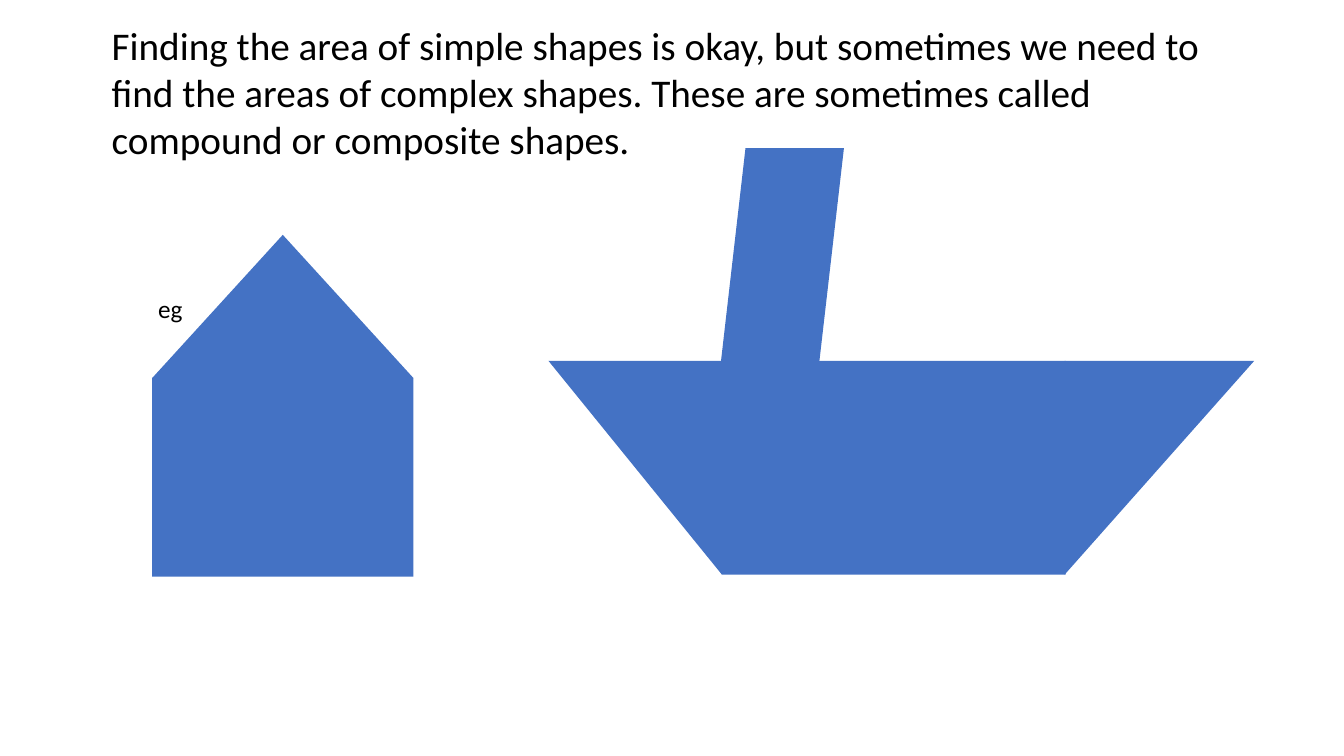
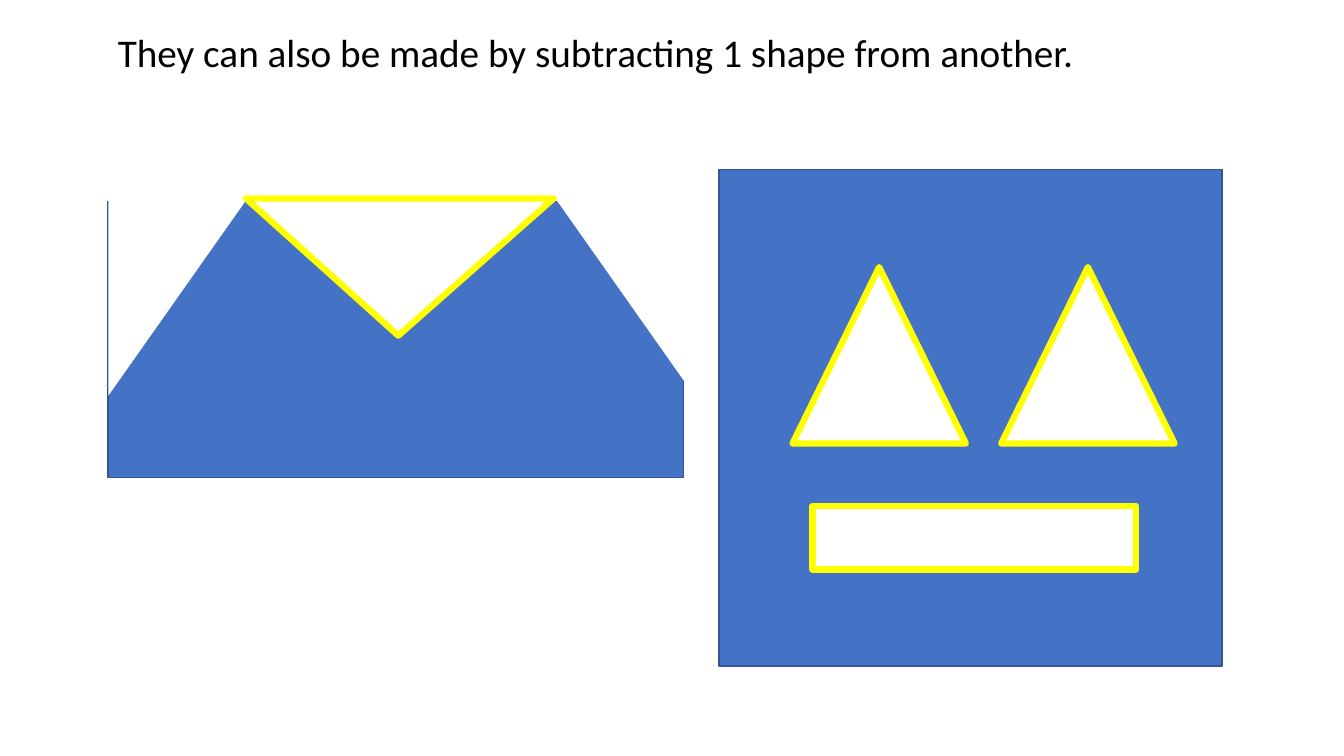
from dataclasses import dataclass

import pptx
import pptx.dml.color
import pptx.enum.shapes
import pptx.enum.text
import pptx.util

Inches = pptx.util.Inches
Preset = pptx.enum.shapes.MSO_SHAPE


@dataclass(frozen=True)
class Theme:
    font: str = "Calibri"
    text: str = "000000"
    solid: str = "4472C4"
    solid_edge: str = "325491"
    cutout: str = "FFFFFF"
    cutout_edge: str = "FFFF00"
    statement_size: float = 28
    label_size: float = 18
    edge_width: float = 1
    cutout_edge_width: float = 4.5


THEME = Theme()


def rgb(value):
    return pptx.dml.color.RGBColor.from_string(value)


def add_text(slide, text, box, size):
    frame = slide.shapes.add_textbox(*map(Inches, box)).text_frame
    frame.word_wrap = True
    frame.auto_size = pptx.enum.text.MSO_AUTO_SIZE.SHAPE_TO_FIT_TEXT
    paragraph = frame.paragraphs[0]
    paragraph.text = text
    paragraph.font.name = THEME.font
    paragraph.font.size = pptx.util.Pt(size)
    paragraph.font.color.rgb = rgb(THEME.text)


def add_statement(slide, text, left, top, height):
    add_text(slide, text, (left, top, 11.2, height), THEME.statement_size)


def add_figure(slide, preset, box, fill, edge=None, width=THEME.edge_width,
               rotation=0, flip_vertical=False):
    figure = slide.shapes.add_shape(preset, *map(Inches, box))
    figure.shadow.inherit = False
    figure.rotation = rotation
    if flip_vertical:
        figure.element.spPr.xfrm.set("flipV", "1")
    figure.fill.solid()
    figure.fill.fore_color.rgb = rgb(fill)
    if edge:
        figure.line.color.rgb = rgb(edge)
        figure.line.width = pptx.util.Pt(width)
    else:
        figure.line.fill.background()
    return figure


def add_part(slide, preset, box, **turn):
    """Add a borderless piece of a compound shape."""
    add_figure(slide, preset, box, THEME.solid, **turn)


def add_base(slide, box):
    """Add the rectangle that other shapes are subtracted from."""
    add_figure(slide, Preset.RECTANGLE, box, THEME.solid, THEME.solid_edge)


def add_cutout(slide, preset, box, **turn):
    """Add an outlined shape that is subtracted from a base."""
    return add_figure(slide, preset, box, THEME.cutout, THEME.cutout_edge,
                      THEME.cutout_edge_width, **turn)


def add_cut_corner(slide, box, **turn):
    add_figure(slide, Preset.RIGHT_TRIANGLE, box, THEME.cutout,
               rotation=90, **turn)


def draw_house(slide):
    left, width, eaves = 1.51, 2.59, 3.75
    roof_height = 1.42
    add_part(slide, Preset.RECTANGLE, (left, eaves, width, 1.97))
    add_part(slide, Preset.ISOSCELES_TRIANGLE,
             (left, eaves - roof_height, width, roof_height))


def draw_ship(slide):
    deck, height = 3.58, 2.12
    add_part(slide, Preset.RECTANGLE, (7.16, deck, 3.41, height))
    add_part(slide, Preset.FLOWCHART_DATA, (7.15, 1.47, 1.22, height))
    add_part(slide, Preset.RIGHT_TRIANGLE, (5.44, deck, 1.72, height),
             rotation=180)
    add_part(slide, Preset.RIGHT_TRIANGLE, (10.56, deck, 1.88, height),
             flip_vertical=True)


def draw_face(slide):
    add_base(slide, (7.13, 1.68, 4.99, 4.93))
    for eye_left in (7.86, 9.93):
        add_cutout(slide, Preset.ISOSCELES_TRIANGLE,
                   (eye_left, 2.65, 1.72, 1.75))
    add_cutout(slide, Preset.RECTANGLE, (8.06, 5.02, 3.21, 0.63))


def draw_notched_rectangle(slide):
    add_base(slide, (1.07, 2, 5.71, 2.74))
    add_cut_corner(slide, (0.79, 2.28, 1.93, 1.36))
    add_cut_corner(slide, (5.2, 2.22, 1.93, 1.36), flip_vertical=True)
    notch = add_cutout(slide, Preset.ISOSCELES_TRIANGLE,
                       (2.44, 1.97, 3.05, 1.36), rotation=180)
    notch.adjustments[0] = 0.505


def build_adding_slide(slide):
    add_statement(
        slide,
        "Finding the area of simple shapes is okay, but sometimes we need to "
        "find the areas of complex shapes. These are sometimes called "
        "compound or composite shapes.",
        1.01, 0.16, 1.51)
    draw_house(slide)
    draw_ship(slide)
    add_text(slide, "eg", (1.47, 2.86, 0.96, 0.4), THEME.label_size)


def build_subtracting_slide(slide):
    add_statement(
        slide, "They can also be made by subtracting 1 shape from another.",
        1.07, 0.23, 0.57)
    draw_notched_rectangle(slide)
    draw_face(slide)


def main():
    deck = pptx.Presentation()
    deck.slide_width = Inches(13.33)
    deck.slide_height = Inches(7.5)
    blank = deck.slide_layouts[6]
    for build in (build_adding_slide, build_subtracting_slide):
        build(deck.slides.add_slide(blank))
    deck.save("out.pptx")


if __name__ == "__main__":
    main()
